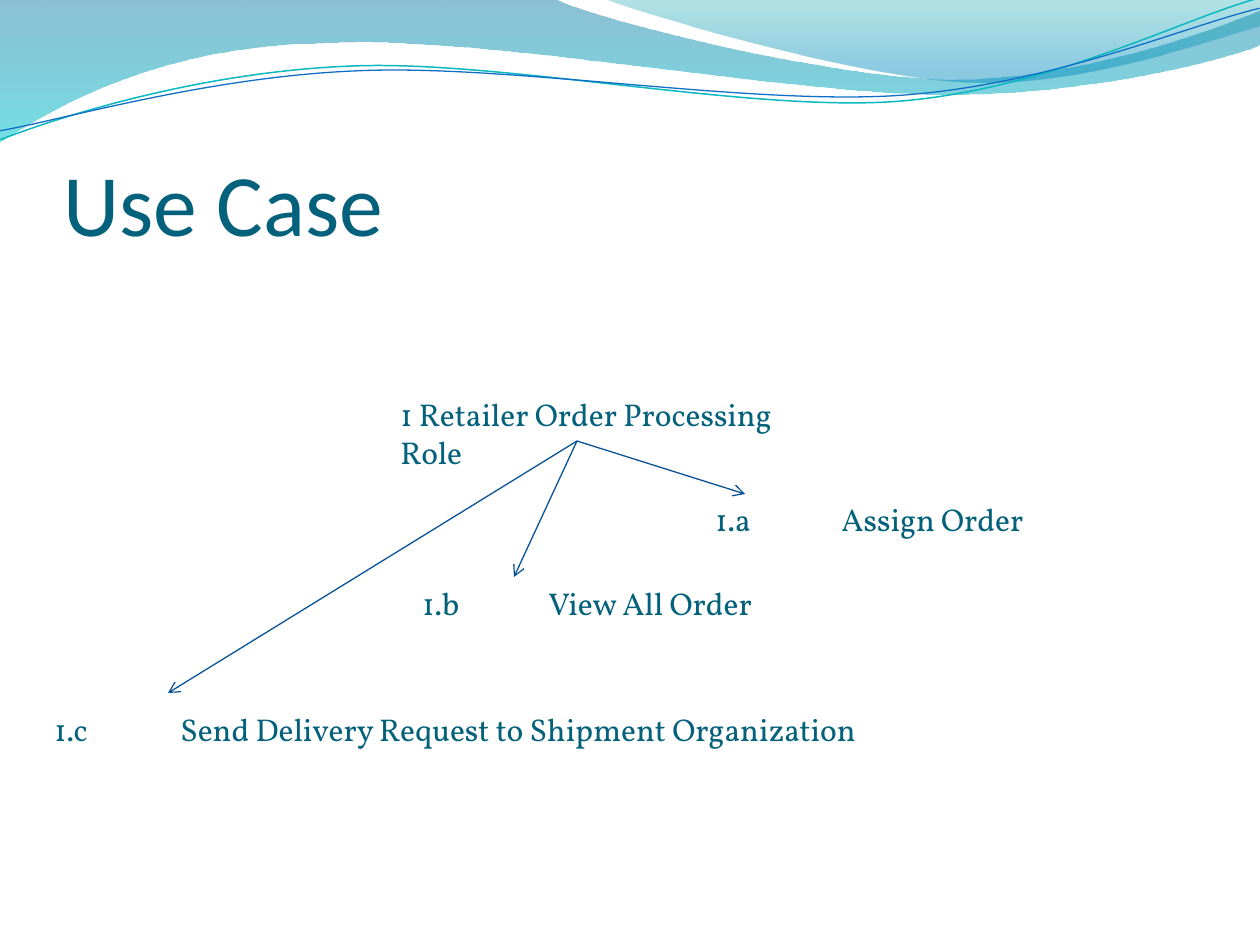
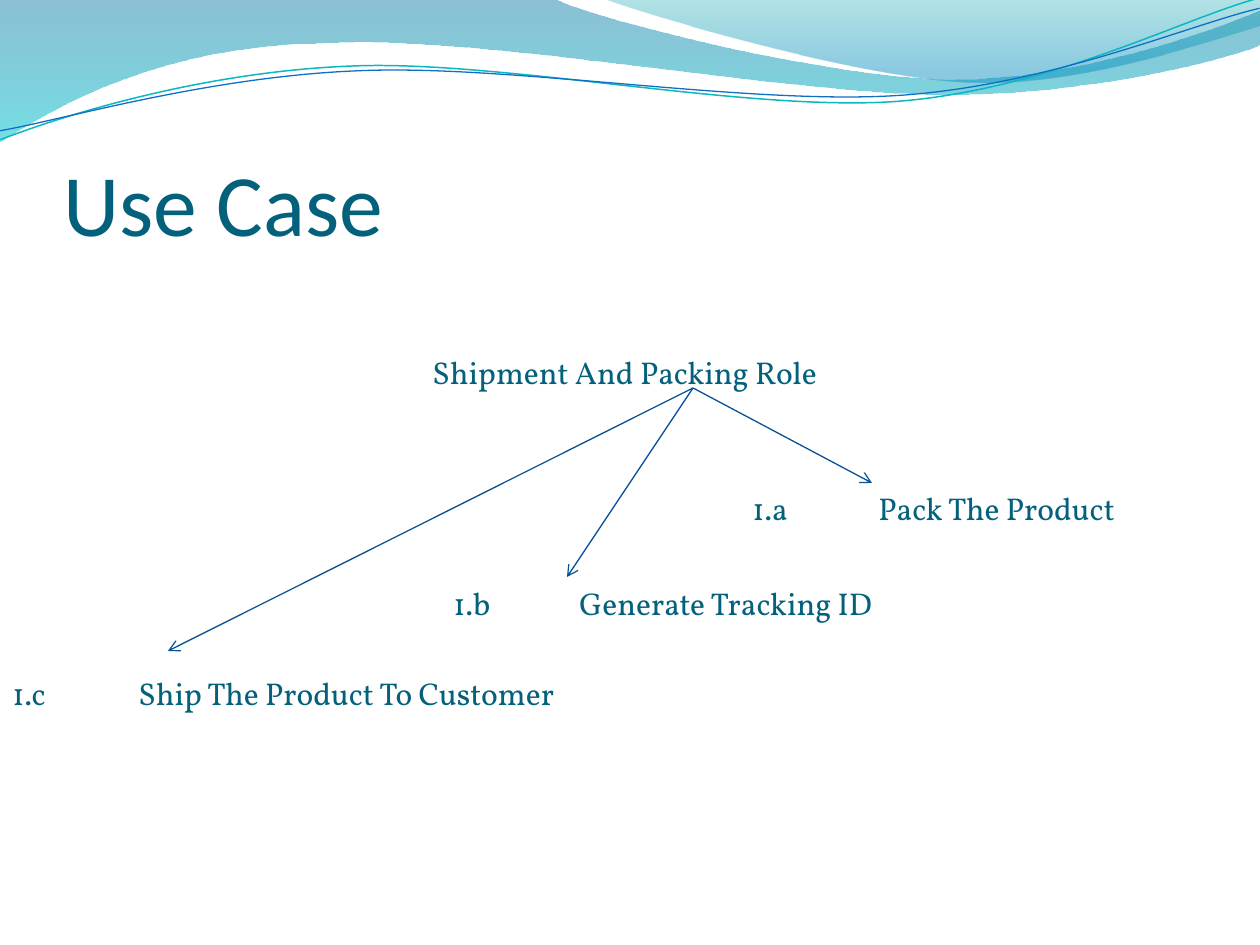
from lxml import etree
from pptx import Presentation
from pptx.dml.color import RGBColor
from pptx.enum.shapes import MSO_CONNECTOR
from pptx.enum.text import MSO_ANCHOR, MSO_AUTO_SIZE, PP_ALIGN
from pptx.oxml.ns import qn
from pptx.util import Emu, Pt

STRAIGHT = MSO_CONNECTOR.STRAIGHT
BOTTOM = MSO_ANCHOR.BOTTOM
NO_AUTOFIT = MSO_AUTO_SIZE.NONE
LEFT = PP_ALIGN.LEFT

# Shared look
EMU_PER_PX = 914400 / 126
SLIDE_SIZE = (1260, 945)
INK = RGBColor(0x04, 0x61, 0x7B)
ARROW = RGBColor(0x09, 0x52, 0x95)
TEAL_LINE = RGBColor(0x0A, 0xB8, 0xBF)
BLUE_LINE = RGBColor(0x0F, 0x6F, 0xC6)
DEEP_BLUE = RGBColor(0x00, 0x74, 0xA1)
AQUA = RGBColor(0x00, 0xC6, 0xCF)
SEA_GREEN = RGBColor(0x00, 0xA1, 0xA9)
SKY_BLUE = RGBColor(0x00, 0x8B, 0xBF)
TITLE_FONT, BODY_FONT = "Calibri", "Vollkorn"
TITLE_BOX = (63, 96, 1134, 158)
TREE_ORIGIN = (0, 346)
LABEL_HEIGHT = 50
NUMBER_TAB = 126
CURVE_TILT = 357.3

# Outlines: a pair is a straight step, six numbers are a Bezier curve
BROAD_WAVE = [
    (0, 0), (554, -1), (600, 21, 837, 79, 955, 79),
    (1075, 79, 1207, 33, 1260, 11), (1261, 45),
    (1239, 55, 1096, 96, 940, 94), (784, 94, 481, 35, 324, 43),
    (163, 45, 58, 105, -1, 142),
]
RIGHT_WAVE = [
    (604, -1), (641, 14, 859, 78, 969, 82),
    (1079, 87, 1211, 40, 1260, 26), (1260, 0),
]
# Thin curves are level here and tilted when drawn
TEAL_CURVE = [
    (-2, 110), (58, 90, 199, 52, 350, 53),
    (499, 53, 745, 118, 896, 114), (1049, 109, 1184, 45, 1261, 28),
]
BLUE_CURVE = [
    (-2, 101), (57, 94, 207, 57, 357, 58),
    (509, 58, 750, 112, 902, 108), (1052, 104, 1188, 52, 1262, 38),
]


def px(length):
    return Emu(round(length * EMU_PER_PX))


def draw_outline(slide, outline, close):
    """Build the outline's control polygon, then turn its curves to Beziers."""
    start, *steps = outline
    corners = [(px(step[i]), px(step[i + 1]))
               for step in steps for i in range(0, len(step), 2)]
    builder = slide.shapes.build_freeform(*map(px, start))
    builder.add_line_segments(corners, close=close)
    shape = builder.convert_to_shape()
    shape.shadow.inherit = False
    segments = iter(list(shape.element.spPr.iter(qn("a:lnTo"))))
    for step in steps:
        first = next(segments)
        if len(step) == 6:
            first.tag = qn("a:cubicBezTo")
            for _ in range(2):
                extra = next(segments)
                first.append(extra[0])
                extra.getparent().remove(extra)
    return shape


def draw_wave(slide, outline, stops):
    """Filled wave; each stop is (position, colour, opacity in percent)."""
    wave = draw_outline(slide, outline, close=True)
    wave.line.fill.background()
    wave.fill.gradient()
    wave.fill.gradient_angle = 270
    for stop, (position, colour, _) in zip(wave.fill.gradient_stops, stops):
        stop.position = position
        stop.color.rgb = colour
    colours = wave.element.spPr.iter(qn("a:srgbClr"))
    for element, (_, _, opacity) in zip(list(colours), stops):
        etree.SubElement(element, qn("a:alpha"), val=str(opacity * 1000))
    return wave


def draw_curve(slide, outline, colour, width):
    curve = draw_outline(slide, outline, close=False)
    curve.rotation = CURVE_TILT
    curve.fill.background()
    curve.line.color.rgb = colour
    curve.line.width = Pt(width)
    return curve


def add_band(slide):
    """Draw the wave band and hand it to the layout that the slides share."""
    parts = [
        draw_wave(slide, BROAD_WAVE, [(0, DEEP_BLUE, 45), (1, AQUA, 55)]),
        draw_wave(slide, RIGHT_WAVE, [(0, SEA_GREEN, 30), (0.8, SKY_BLUE, 45)]),
        draw_curve(slide, TEAL_CURVE, TEAL_LINE, 0.85),
        draw_curve(slide, BLUE_CURVE, BLUE_LINE, 0.75),
    ]
    for number, part in enumerate(parts, start=20):
        part.element.nvSpPr.cNvPr.id = number
        slide.slide_layout.shapes.element.append(part.element)


def set_title(slide, text, box):
    title = slide.shapes.title
    title.left, title.top, title.width, title.height = map(px, box)
    frame = title.text_frame
    frame.text = text
    frame.auto_size = NO_AUTOFIT
    frame.vertical_anchor = BOTTOM
    frame.margin_left = frame.margin_right = frame.margin_bottom = 0
    heading = frame.paragraphs[0]
    heading.alignment = LEFT
    heading.font.name = TITLE_FONT
    heading.font.size = Pt(50)
    heading.font.color.rgb = INK


def add_label(slide, text, left, top, width):
    label = slide.shapes.add_textbox(
        px(left), px(top), px(width), px(LABEL_HEIGHT))
    frame = label.text_frame
    frame.word_wrap = True
    frame.text = text
    paragraph = frame.paragraphs[0]
    paragraph.font.name = BODY_FONT
    paragraph.font.size = Pt(18)
    paragraph.font.color.rgb = INK
    if "\t" in text:
        # The tab stop goes ahead of the paragraph's font settings
        stops = etree.Element(qn("a:tabLst"))
        etree.SubElement(stops, qn("a:tab"), pos=str(px(NUMBER_TAB)), algn="l")
        paragraph._p.get_or_add_pPr().insert(0, stops)


def add_arrow(slide, start, end):
    arrow = slide.shapes.add_connector(
        STRAIGHT, *map(px, start), *map(px, end))
    arrow.line.color.rgb = ARROW
    arrow.line.width = Pt(0.75)
    line = arrow.line._get_or_add_ln()
    etree.SubElement(line, qn("a:tailEnd"), type="arrow")
    etree.SubElement(arrow.element.spPr, qn("a:effectLst"))


def add_use_case_tree(slide, origin, role, hub, cases):
    """A role with an arrow from its hub to each case, relative to origin."""
    left, top = origin

    def place(x, y):
        return left + x, top + y

    text, x, y, width = role
    add_label(slide, text, *place(x, y), width)
    for number, name, x, y, width, _ in cases:
        add_label(slide, f"{number}\t{name}", *place(x, y), width)
    for *_, tip in cases:
        add_arrow(slide, place(*hub), place(*tip))


# Role: text, x, y, width; case: number, name, x, y, width, arrow tip
USE_CASES = [
    (("1 Retailer Order Processing Role", 388, 43, 461), (577, 95), [
        ("1.a", "Assign Order", 703, 148, 334, (745, 148)),
        ("1.b", "View All Order", 410, 232, 358, (514, 231)),
        ("1.c", "Send Delivery Request to Shipment Organization",
         42, 358, 827, (168, 347)),
    ]),
    (("Shipment And Packing Role", 420, 1, 410), (693, 42), [
        ("1.a", "Pack The Product", 740, 137, 394, (872, 137)),
        ("1.b", "Generate Tracking ID", 441, 232, 446, (567, 231)),
        ("1.c", "Ship The Product To Customer", 0, 322, 572, (168, 305)),
    ]),
]

deck = Presentation()
deck.slide_width, deck.slide_height = map(px, SLIDE_SIZE)
title_only = deck.slide_layouts[5]

for index, (role, hub, cases) in enumerate(USE_CASES):
    slide = deck.slides.add_slide(title_only)
    if index == 0:
        add_band(slide)
    set_title(slide, "Use Case", TITLE_BOX)
    add_use_case_tree(slide, TREE_ORIGIN, role, hub, cases)

deck.save("out.pptx")
